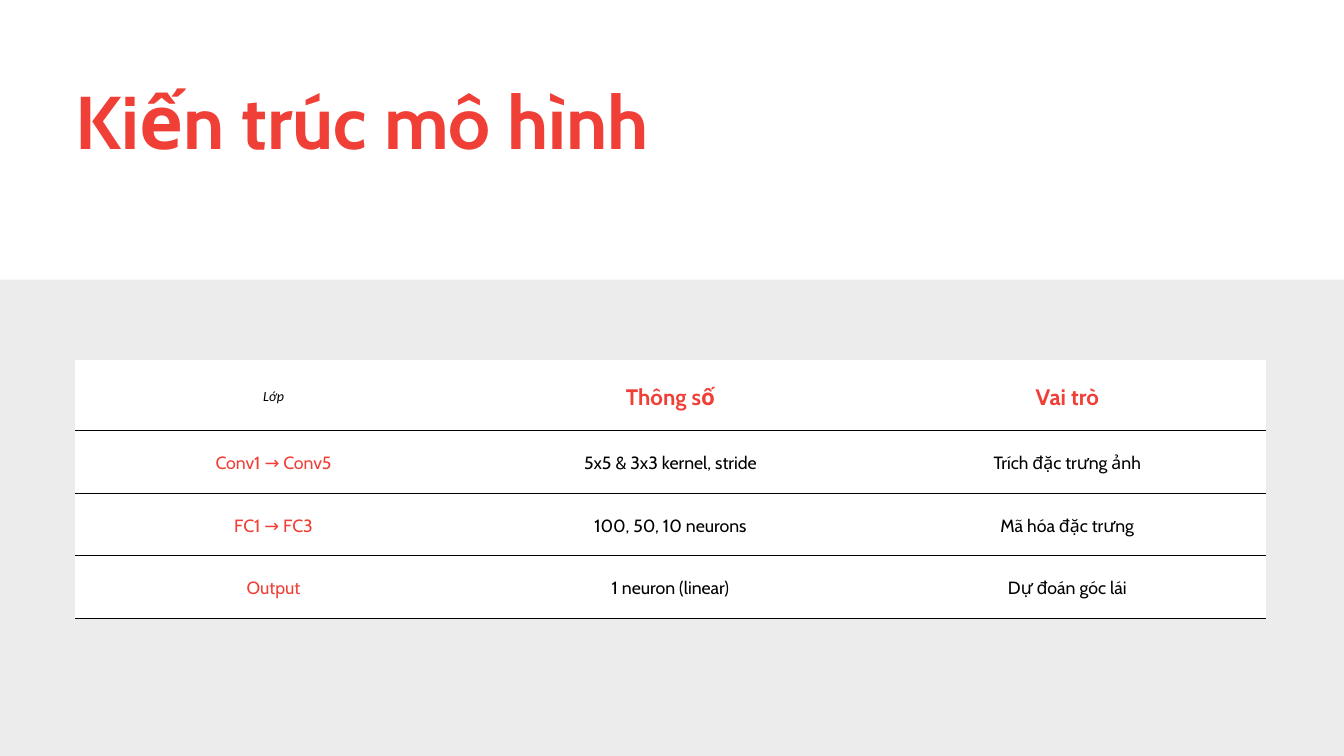
from dataclasses import dataclass

from lxml import etree
from pptx import Presentation
from pptx import util as u
from pptx.dml.color import RGBColor
from pptx.enum import shapes, text
from pptx.oxml.ns import qn

ROWS = [
    ("Lớp", "Thông số", "Vai trò"),
    ("Conv1 → Conv5", "5x5 & 3x3 kernel, stride", "Trích đặc trưng ảnh"),
    ("FC1 → FC3", "100, 50, 10 neurons", "Mã hóa đặc trưng"),
    ("Output", "1 neuron (linear)", "Dự đoán góc lái"),
]


@dataclass(frozen=True)
class Theme:
    accent: str = "F03F36"
    ink: str = "000000"
    paper: str = "FFFFFF"
    ground: str = "EDECED"
    font: str = "Cabin"
    corner_font: str = "Calibri"
    title_size: float = 80
    header_size: float = 24
    body_size: float = 19
    corner_size: float = 15
    leading: float = 1.4
    rule: float = 0.75
    padding: float = 0.53


def write(frame, words, *, font, size, color, leading, align,
          anchor=text.MSO_ANCHOR.TOP, bold=False, italic=False, padding=0):
    frame.word_wrap = True
    frame.vertical_anchor = anchor
    para = frame.paragraphs[0]
    para.alignment = align
    para.line_spacing = u.Pt(round(size * leading, 1))
    span = para.add_run()
    span.text = words
    span.font.name = font
    span.font.size = u.Pt(size)
    span.font.bold = bold
    span.font.italic = italic
    span.font.color.rgb = RGBColor.from_string(color)
    for side in ("left", "top", "right", "bottom"):
        setattr(frame, f"margin_{side}", u.Cm(padding))


class Slide:
    """Draws styled elements on the current page."""

    def __init__(self, deck, theme):
        self.theme = theme
        self.page = deck.slides.add_slide(deck.slide_layouts[5])
        self.fill(self.page.background.fill, theme.ground)

    def fill(self, fill, color):
        fill.solid()
        fill.fore_color.rgb = RGBColor.from_string(color)

    def title(self, words, left, top, width, height):
        box = self.page.shapes.title
        box.left, box.top = u.Cm(left), u.Cm(top)
        box.width, box.height = u.Cm(width), u.Cm(height)
        box.text_frame.auto_size = text.MSO_AUTO_SIZE.NONE
        write(box.text_frame, words, font=self.theme.font, size=self.theme.title_size,
              color=self.theme.accent, leading=1.2, align=text.PP_ALIGN.LEFT, bold=True)

    def band(self, left, top, width, height):
        box = self.page.shapes.add_shape(
            shapes.MSO_SHAPE.RECTANGLE, u.Cm(left), u.Cm(top), u.Cm(width), u.Cm(height))
        box.shadow.inherit = False
        self.fill(box.fill, self.theme.paper)
        box.line.fill.background()
        self.page.shapes.title.element.addprevious(box.element)

    def table(self, rows, left, top, column_width, header_height, row_height):
        heights = [header_height] + [row_height] * (len(rows) - 1)
        columns = len(rows[0])
        grid = self.page.shapes.add_table(
            len(rows), columns, u.Cm(left), u.Cm(top),
            u.Cm(column_width * columns), u.Cm(sum(heights))).table
        grid.horz_banding = False
        for column in grid.columns:
            column.width = u.Cm(column_width)
        for row, height in zip(grid.rows, heights):
            row.height = u.Cm(height)
        for i, row in enumerate(rows):
            for j, words in enumerate(row):
                self.cell(grid.cell(i, j), words, i, j)

    def cell(self, cell, words, i, j):
        theme = self.theme
        self.borders(cell, {"L": False, "R": False, "T": i > 0, "B": True})
        self.fill(cell.fill, theme.paper)
        look = dict(font=theme.font, size=theme.body_size, color=theme.ink)
        if i == j == 0:
            look.update(font=theme.corner_font, size=theme.corner_size, italic=True)
        elif i == 0:
            look.update(size=theme.header_size, color=theme.accent, bold=True)
        elif j == 0:
            look.update(color=theme.accent)
        write(cell.text_frame, words, leading=theme.leading, align=text.PP_ALIGN.CENTER, **look)
        cell.vertical_anchor = text.MSO_ANCHOR.MIDDLE
        for side in ("left", "top", "right", "bottom"):
            setattr(cell, f"margin_{side}", u.Cm(theme.padding))

    def borders(self, cell, sides):
        properties = cell._tc.get_or_add_tcPr()
        for side, visible in sides.items():
            width = u.Pt(self.theme.rule) if visible else 0
            line = etree.SubElement(properties, qn(f"a:ln{side}"), w=str(width))
            if visible:
                solid = etree.SubElement(line, qn("a:solidFill"))
                etree.SubElement(solid, qn("a:srgbClr"), val=self.theme.ink)
            else:
                etree.SubElement(line, qn("a:noFill"))


def main():
    deck = Presentation()
    deck.slide_width, deck.slide_height = u.Cm(50.8), u.Cm(28.58)
    slide = Slide(deck, Theme())
    slide.band(0, 0, 50.8, 10.57)
    slide.title("Kiến trúc mô hình", 2.84, 2.82, 34.32, 3.4)
    slide.table(ROWS, 2.84, 13.61, column_width=15, header_height=2.67, row_height=2.36)
    deck.save("out.pptx")


if __name__ == "__main__":
    main()
